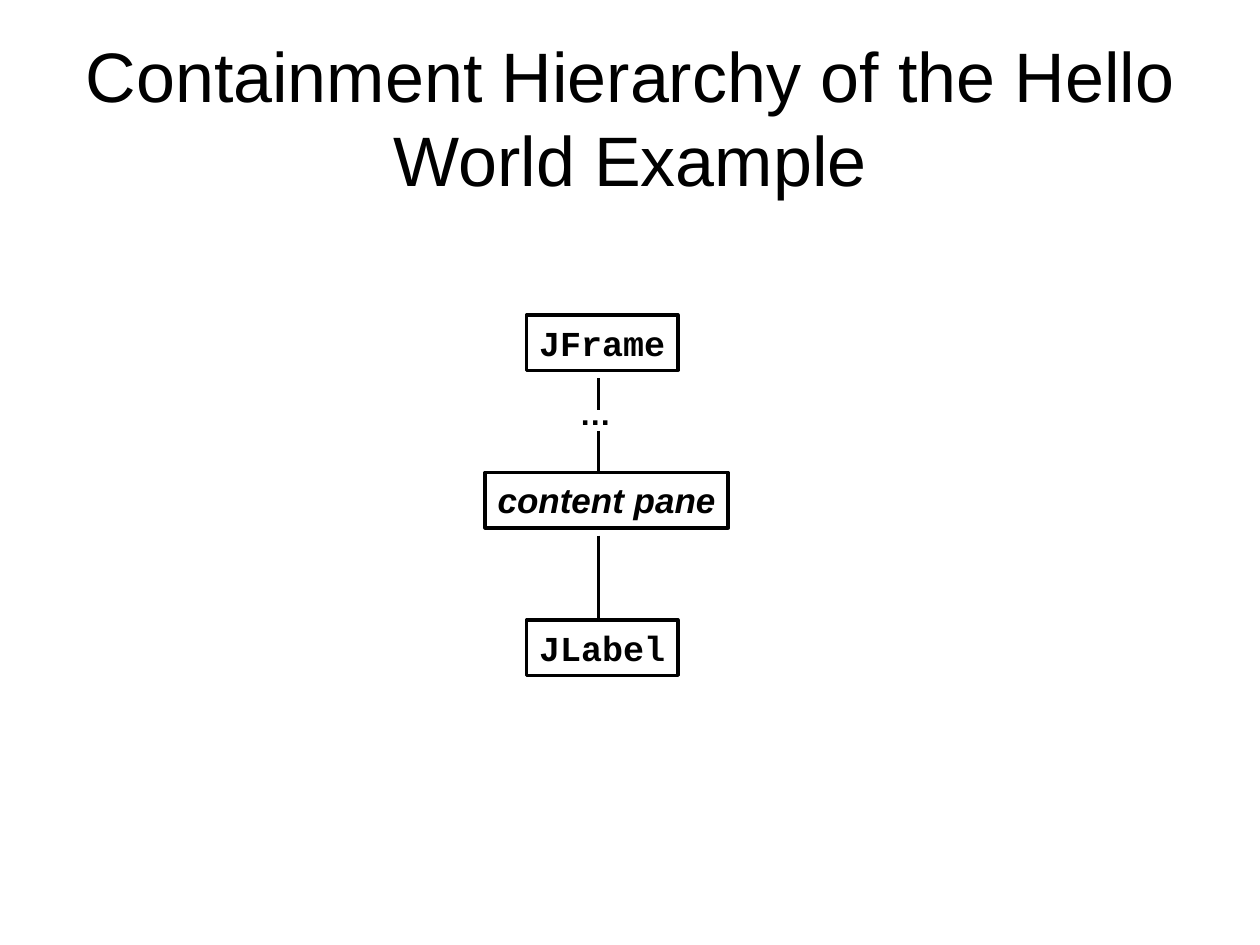
from pptx import Presentation
from pptx.dml.color import RGBColor
from pptx.enum.shapes import MSO_CONNECTOR, MSO_SHAPE
from pptx.enum.text import MSO_ANCHOR, MSO_AUTO_SIZE, PP_ALIGN
from pptx.oxml.ns import qn
from pptx.util import Inches, Pt
from lxml.etree import SubElement

COLORS = {"ink": "000000"}
INK = RGBColor.from_string(COLORS["ink"])

TITLE = "Containment Hierarchy of the Hello World Example"
CODE = {"name": "Courier New", "size": Pt(20), "bold": True}
TERM = {"name": "Arial", "size": Pt(20), "bold": True, "italic": True}
DOTS = {"name": "Arial", "size": Pt(18), "bold": True}

# text, left, top, width, font
BOXES = [
    ("JFrame", 4.18, 2.5, 1.2, CODE),
    ("content pane", 3.85, 3.75, 1.93, TERM),
    ("JLabel", 4.18, 4.92, 1.2, CODE),
]
BOX_H = 0.44
LINE_X = 4.75
LINKS = [(3, 3.25), (3.42, 3.75), (4.25, 4.92)]  # top and bottom


def write(shape, text, font, before=0):
    frame = shape.text_frame
    frame.text = text
    para = frame.paragraphs[0]
    para.alignment = PP_ALIGN.CENTER
    para.space_before = Pt(before)
    run = para.runs[0]
    for key, value in font.items():
        setattr(run.font, key, value)
    run.font.color.rgb = INK
    return frame


def fit(frame):
    """Keep the text on one line and let the shape grow around it."""
    frame.word_wrap = False
    frame.auto_size = MSO_AUTO_SIZE.SHAPE_TO_FIT_TEXT
    frame.vertical_anchor = MSO_ANCHOR.TOP


def outline(shape):
    shape.line.color.rgb = INK
    shape.line.width = Pt(2)


def add_box(slide, text, left, top, width, font):
    box = slide.shapes.add_shape(
        MSO_SHAPE.RECTANGLE, *map(Inches, (left, top, width, BOX_H)))
    box.shadow.inherit = False
    box.fill.background()
    outline(box)
    fit(write(box, text, font, 5))


def add_link(slide, top, bottom):
    link = slide.shapes.add_connector(
        MSO_CONNECTOR.STRAIGHT, *map(Inches, (LINE_X, top, LINE_X, bottom)))
    outline(link)
    SubElement(link._element.spPr, qn("a:effectLst"))


def main():
    prs = Presentation()
    prs.slide_width, prs.slide_height = Inches(10), Inches(7.5)
    slide = prs.slides.add_slide(prs.slide_layouts[5])

    title = slide.shapes.title
    title.left, title.top, title.width, title.height = map(
        Inches, (0.5, 0.3, 9, 1.25))
    frame = write(title, TITLE, {"name": "Arial", "size": Pt(40)})
    frame.vertical_anchor = MSO_ANCHOR.MIDDLE
    frame.auto_size = MSO_AUTO_SIZE.NONE

    for box in BOXES:
        add_box(slide, *box)
    dots = slide.shapes.add_textbox(*map(Inches, (4.5, 3.08, 0.45, 0.4)))
    fit(write(dots, "…", DOTS, 4.5))
    for link in LINKS:
        add_link(slide, *link)

    prs.save("out.pptx")


if __name__ == "__main__":
    main()
